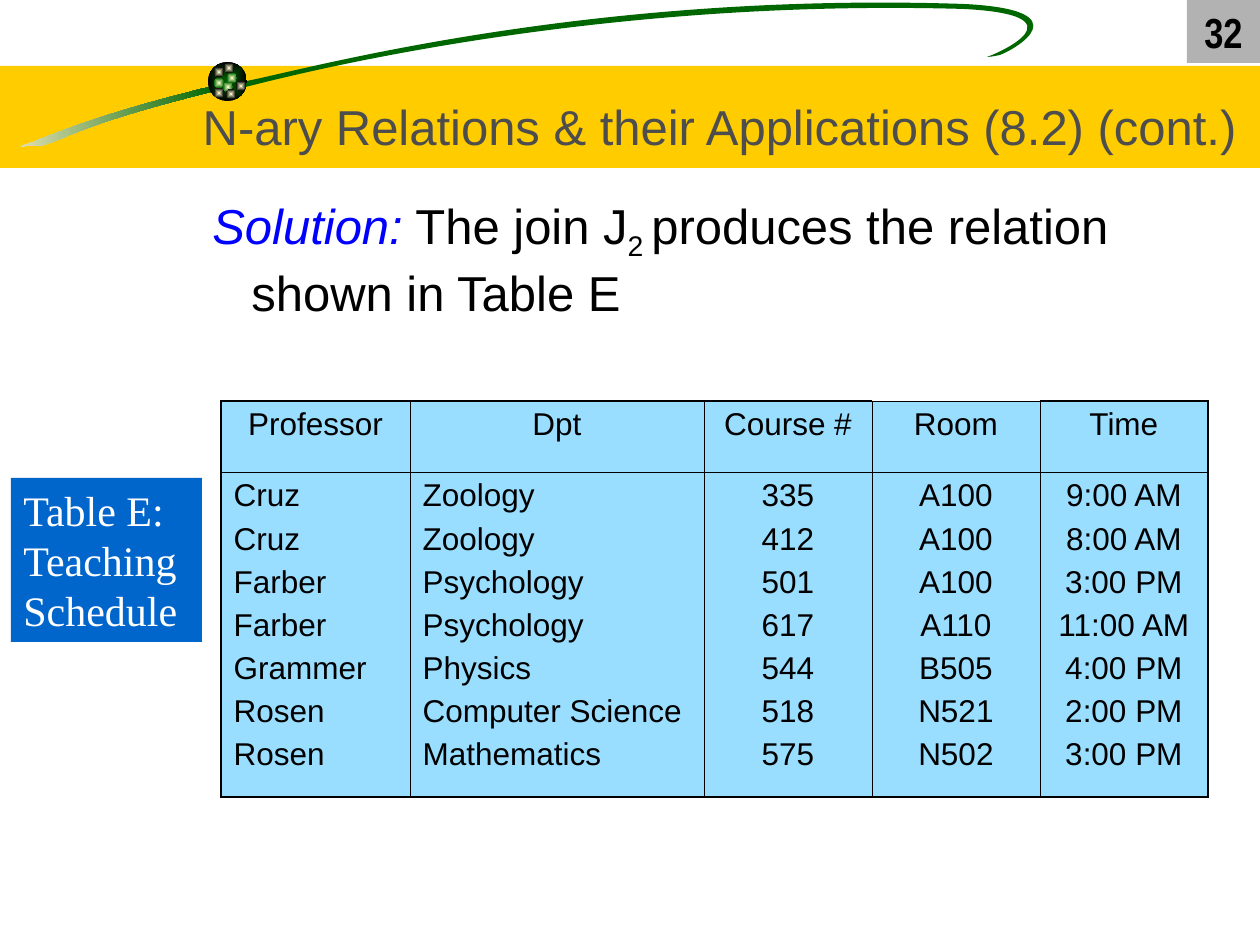
from math import cos, radians, sin

from lxml.etree import SubElement
from pptx import Presentation
from pptx.dml.color import RGBColor
from pptx.enum.shapes import MSO_SHAPE
from pptx.enum.text import MSO_ANCHOR, MSO_AUTO_SIZE, PP_ALIGN
from pptx.oxml.ns import qn
from pptx.util import Emu, Pt

BLACK = RGBColor(0x00, 0x00, 0x00)
WHITE = RGBColor(0xFF, 0xFF, 0xFF)
GREEN = RGBColor(0x00, 0x66, 0x00)
CREAM = RGBColor(0xFF, 0xFF, 0xCC)
SAND = RGBColor(0xF5, 0xEB, 0xC1)
YELLOW = RGBColor(0xFF, 0xCC, 0x00)
GRAY = RGBColor(0xB2, 0xB2, 0xB2)
DARK_GRAY = RGBColor(0x4D, 0x4D, 0x4D)
BLUE = RGBColor(0x00, 0x00, 0xFF)
LABEL_BLUE = RGBColor(0x00, 0x66, 0xCC)
LIGHT_BLUE = RGBColor(0x99, 0xDD, 0xFF)

# Content
PAGE_NUMBER = "32"
TITLE = "N-ary Relations & their Applications (8.2) (cont.)"
# text, colour, italic, subscript
BODY = [
    ("Solution:", BLUE, True, False),
    (" The join J", BLACK, False, False),
    ("2 ", BLACK, False, True),
    ("produces the relation shown in Table E", BLACK, False, False),
]
LABEL = ["Table E:", "Teaching \vSchedule"]
# heading, width, alignment, values
COLUMNS = [
    ("Professor", 189, PP_ALIGN.LEFT,
     ["Cruz", "Cruz", "Farber", "Farber", "Grammer", "Rosen", "Rosen"]),
    ("Dpt", 294, PP_ALIGN.LEFT,
     ["Zoology", "Zoology", "Psychology", "Psychology", "Physics",
      "Computer Science", "Mathematics"]),
    ("Course #", 168, PP_ALIGN.CENTER,
     ["335", "412", "501", "617", "544", "518", "575"]),
    ("Room", 168, PP_ALIGN.CENTER,
     ["A100", "A100", "A100", "A110", "B505", "N521", "N502"]),
    ("Time", 168, PP_ALIGN.CENTER,
     ["9:00 AM", "8:00 AM", "3:00 PM", "11:00 AM", "4:00 PM", "2:00 PM", "3:00 PM"]),
]
ROW_HEIGHTS = [71, 325]
THIN, THICK = Pt(0.45), Pt(1.08)

# Swooshes: centre, start point, then Bézier triples (two controls and an end)
SWOOSH_ANGLE = 8.5
TAIL = (108, 119), [
    (213, 86),
    (110, 111), (60, 131), (33, 142),
    (4, 152), (34, 142), (39, 146),
    (69, 139), (71, 127), (214, 91),
    (214, 91), (213, 86), (213, 86),
]
SWEEP = (663, 42), [
    (242, 82),
    (294, 73), (577, -9), (964, 4),
    (1085, 10), (1014, 50), (1000, 55),
    (1000, 55), (992, 57), (987, 57),
    (999, 53), (1085, 15), (963, 9),
    (650, 0), (382, 52), (246, 87),
    (246, 87), (242, 82), (242, 82),
]
# left, top, edge colour of the spots on the ball
SPOTS = [
    (227, 73, GREEN), (214, 67, BLACK), (214, 78, GREEN), (223, 82, GREEN),
    (236, 81, BLACK), (226, 89, BLACK), (214, 88, BLACK), (224, 63, BLACK),
]


def px(value):
    return Emu(round(value * 914400 / 126))


def plain(shape, color=None):
    shape.shadow.inherit = False
    shape.line.fill.background()
    if color is not None:
        shape.fill.solid()
        shape.fill.fore_color.rgb = color
    return shape


def add_box(kind, left, top, width, height, color=None):
    shape = slide.shapes.add_shape(kind, px(left), px(top), px(width), px(height))
    return plain(shape, color)


def set_gradient(shape, first, last, from_center=False):
    shape.fill.gradient()
    shape.fill.gradient_angle = 0
    for stop, color, position in zip(shape.fill.gradient_stops, (first, last), (0, 1)):
        stop.color.rgb = color
        stop.position = position
    if from_center:
        gradient = shape.element.spPr.find(qn("a:gradFill"))
        gradient.remove(gradient.find(qn("a:lin")))
        center = SubElement(gradient, qn("a:path"), path="rect")
        SubElement(center, qn("a:fillToRect"), l="50000", t="50000", r="50000", b="50000")


def add_swoosh(center, points, color=None):
    """Lay the outline level, join each triple into a curve, then tilt the shape."""
    cosine, sine = cos(radians(SWOOSH_ANGLE)), sin(radians(SWOOSH_ANGLE))
    level = []
    for x, y in points:
        across, down = x - center[0], y - center[1]
        level.append((px(center[0] + across * cosine - down * sine),
                      px(center[1] + across * sine + down * cosine)))
    builder = slide.shapes.build_freeform(*level[0])
    builder.add_line_segments(level[1:], close=True)
    shape = plain(builder.convert_to_shape(), color)
    outline = shape.element.find(".//" + qn("a:path"))
    lines = outline.findall(qn("a:lnTo"))
    for index in range(0, len(lines), 3):
        curve = outline.makeelement(qn("a:cubicBezTo"), {})
        lines[index].addprevious(curve)
        for line in lines[index:index + 3]:
            curve.append(line[0])
            outline.remove(line)
    shape.rotation = 360 - SWOOSH_ANGLE
    return shape


def style(paragraph, size, color=None, name="Arial", align=PP_ALIGN.LEFT):
    paragraph.alignment = align
    paragraph.font.size = Pt(size)
    paragraph.font.name = name
    if color is not None:
        paragraph.font.color.rgb = color


def add_text(left, top, width, height):
    frame = slide.shapes.add_textbox(px(left), px(top), px(width), px(height)).text_frame
    frame.word_wrap = True
    return frame


def set_borders(cell, widths):
    properties = cell._tc.get_or_add_tcPr()
    for index, (side, width) in enumerate(zip(("lnL", "lnR", "lnT", "lnB"), widths)):
        line = properties.makeelement(qn(f"a:{side}"), {"w": str(width)})
        properties.insert(index, line)
        fill = SubElement(line, qn("a:solidFill"))
        SubElement(fill, qn("a:srgbClr"), val=str(BLACK))


presentation = Presentation()
presentation.slide_width, presentation.slide_height = px(1260), px(945)
slide = presentation.slides.add_slide(presentation.slide_layouts[6])

# Banner with swoosh and ball
add_box(MSO_SHAPE.RECTANGLE, 0, 66, 1260, 102, YELLOW)
set_gradient(add_swoosh(*TAIL), SAND, GREEN)
add_swoosh(*SWEEP, GREEN)
set_gradient(add_box(MSO_SHAPE.OVAL, 208, 62, 39, 39), GREEN, BLACK, True)
for left, top, edge in SPOTS:
    set_gradient(add_box(MSO_SHAPE.OVAL, left, top, 10, 10), CREAM, edge, True)

# Page number
number = add_box(MSO_SHAPE.RECTANGLE, 1187, 0, 73, 63, GRAY).text_frame
number.text = PAGE_NUMBER
number.vertical_anchor = MSO_ANCHOR.TOP
style(number.paragraphs[0], 24, BLACK, "Arial Narrow", PP_ALIGN.CENTER)
number.paragraphs[0].font.bold = True

# Title
title = add_text(179, 73, 1081, 105)
title.text = TITLE
title.vertical_anchor = MSO_ANCHOR.MIDDLE
style(title.paragraphs[0], 28, DARK_GRAY, align=PP_ALIGN.CENTER)

# Body sentence with hanging indent
paragraph = add_text(137, 189, 1123, 147).paragraphs[0]
style(paragraph, 28)
paragraph.space_before = Pt(7)
indents = paragraph._p.get_or_add_pPr()
indents.set("marL", str(px(102)))
indents.set("indent", str(px(-39)))
for text, color, italic, subscript in BODY:
    run = paragraph.add_run()
    run.text = text
    run.font.color.rgb = color
    run.font.italic = italic
    if subscript:
        run._r.get_or_add_rPr().set("baseline", "-25000")

# Schedule table: a heading row and one tall row holding all values
table = slide.shapes.add_table(
    2, len(COLUMNS), px(221), px(401),
    px(sum(column[1] for column in COLUMNS)), px(sum(ROW_HEIGHTS))).table
table.first_row = table.horz_banding = False
for row, height in zip(table.rows, ROW_HEIGHTS):
    row.height = px(height)
last = len(COLUMNS) - 1
for index, (heading, width, align, values) in enumerate(COLUMNS):
    table.columns[index].width = px(width)
    left = THICK if index == 0 else THIN
    right = THICK if index == last else THIN
    top = THIN if heading == "Room" else THICK
    rows = [([heading], PP_ALIGN.CENTER, top, THIN), (values, align, THIN, THICK)]
    for row, (lines, alignment, upper, lower) in enumerate(rows):
        cell = table.cell(row, index)
        cell.text = "\n".join(lines)
        cell.fill.solid()
        cell.fill.fore_color.rgb = LIGHT_BLUE
        set_borders(cell, (left, right, upper, lower))
        for paragraph in cell.text_frame.paragraphs:
            style(paragraph, 18, BLACK, align=alignment)
            paragraph.space_before = Pt(4.5)

# Table label
label = add_box(MSO_SHAPE.RECTANGLE, 11, 478, 191, 164, LABEL_BLUE).text_frame
label.text = "\n".join(LABEL)
label.word_wrap = False
label.auto_size = MSO_AUTO_SIZE.SHAPE_TO_FIT_TEXT
label.vertical_anchor = MSO_ANCHOR.TOP
for paragraph in label.paragraphs:
    style(paragraph, 24, WHITE, "Times New Roman")

presentation.save("out.pptx")
